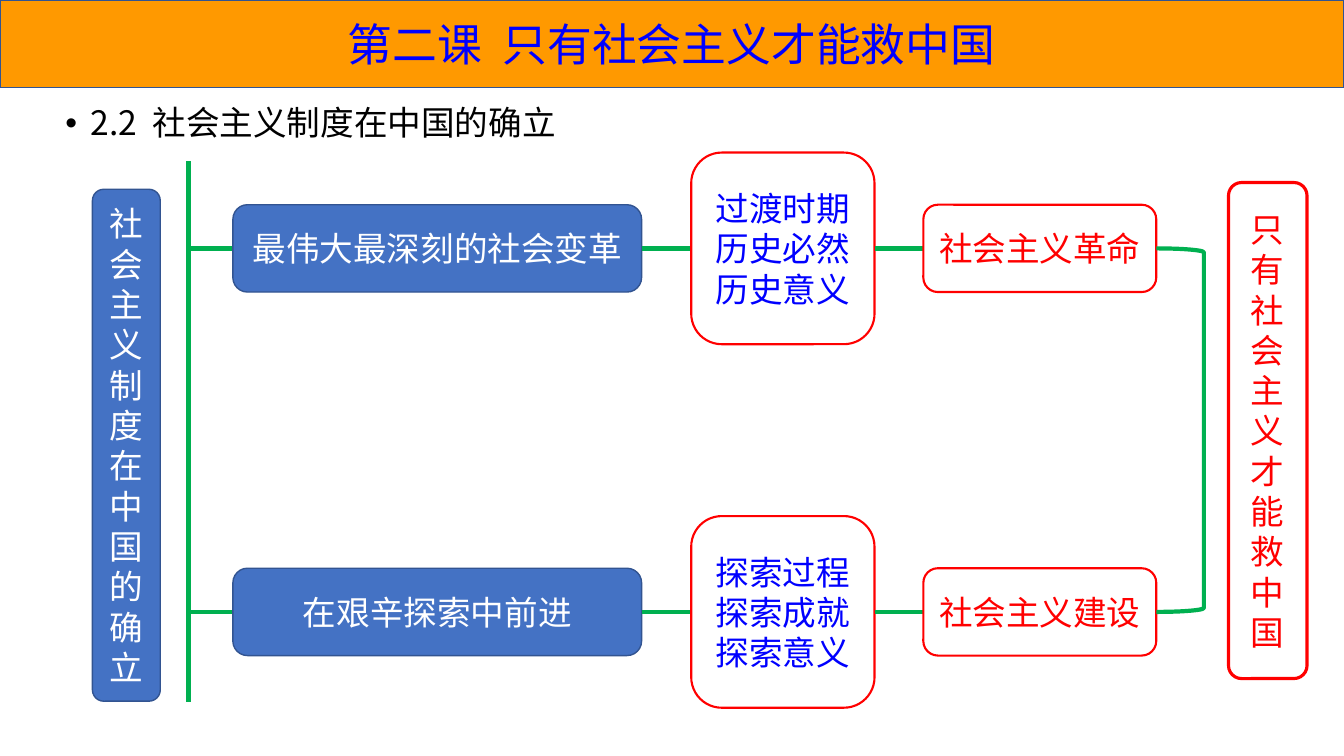
"""Build the lesson map slide on the founding of the socialist system."""
import pptx
import pptx.util
import pptx.dml.color
import pptx.enum.shapes
import pptx.enum.text
import pptx.oxml.ns
import lxml.etree

TITLE = "第二课  只有社会主义才能救中国"
HEAD = "2.2  社会主义制度在中国的确立"
ROOT = "社会主义制度在中国的确立"
GOAL = "只有社会主义才能救中国"
ROWS = [
    ("最伟大最深刻的社会变革", "过渡时期\n历史必然\n历史意义", "社会主义革命"),
    ("在艰辛探索中前进", "探索过程\n探索成就\n探索意义", "社会主义建设"),
]

THEME = {
    "font": "Noto Sans CJK SC", "title": 32, "body": 24,
    "black": "000000", "white": "FFFFFF", "ink": "0000FF", "red": "FF0000",
    "orange": "FF9900", "blue": "4472C4", "edge": "325491", "green": "00B050",
}
STYLES = {
    "banner": ("orange", "edge", 1, "ink", "title"),
    "topic": ("blue", "edge", 1, "white", "body"),
    "steps": ("white", "red", 1.5, "ink", "body"),
    "result": ("white", "red", 1.5, "red", "body"),
    "goal": ("white", "red", 2.25, "red", "body"),
}
COLS = [
    ("topic", 5.87, 10.3, 2.2),
    ("steps", 17.42, 4.62, 4.83),
    ("result", 23.27, 5.87, 2.2),
]
MIDS = [6.26, 15.42]
SPINE = 4.75
LINK = 3

Cm = pptx.util.Cm
Pt = pptx.util.Pt
KIND = pptx.enum.shapes.MSO_SHAPE
ALIGN = pptx.enum.text.PP_ALIGN
qn = pptx.oxml.ns.qn

deck = pptx.Presentation()
deck.slide_width, deck.slide_height = Cm(33.87), Cm(19.05)
slide = deck.slides.add_slide(deck.slide_layouts[6])
shapes = slide.shapes


def tint(name):
    return pptx.dml.color.RGBColor.from_string(THEME[name])


def stroke(line, name, width):
    line.color.rgb = tint(name)
    line.width = Pt(width)


def write(frame, text, name, size, align):
    frame.text = text
    frame.word_wrap = True
    for para in frame.paragraphs:
        para.alignment = align
        for run in para.runs:
            run.font.size = Pt(THEME[size])
            run.font.color.rgb = tint(name)
            run.font.name = THEME["font"]
            east = lxml.etree.SubElement(run.font._element, qn("a:ea"))
            east.set("typeface", THEME["font"])


def box(text, style, area, kind=KIND.ROUNDED_RECTANGLE):
    fill, edge, width, name, size = STYLES[style]
    shape = shapes.add_shape(kind, *map(Cm, area))
    shape.shadow.inherit = False
    shape.fill.solid()
    shape.fill.fore_color.rgb = tint(fill)
    stroke(shape.line, edge, width)
    write(shape.text_frame, text, name, size, ALIGN.CENTER)


def link(*ends):
    line = shapes.add_connector(pptx.enum.shapes.MSO_CONNECTOR.STRAIGHT, *map(Cm, ends))
    stroke(line.line, "green", LINK)
    lxml.etree.SubElement(line._element.spPr, qn("a:effectLst"))


def heading(text):
    frame = shapes.add_textbox(Cm(1.4), Cm(2.57), Cm(30.86), Cm(15.72)).text_frame
    write(frame, text, "black", "body", ALIGN.LEFT)
    para = frame.paragraphs[0]
    para.line_spacing = 0.9
    para.space_before = Pt(10)
    props = para._p.get_or_add_pPr()
    props.set("marL", str(Cm(0.64)))
    props.set("indent", str(-Cm(0.64)))
    font = lxml.etree.SubElement(props, qn("a:buFont"))
    font.set("typeface", "Arial")
    lxml.etree.SubElement(props, qn("a:buChar")).set("char", "•")


heading(HEAD)
box(TITLE, "banner", (0, 0, 33.87, 2.2), KIND.RECTANGLE)
box(ROOT, "topic", (2.33, 4.77, 1.71, 12.9))
link(SPINE, 4.06, SPINE, 17.68)

for texts, mid in zip(ROWS, MIDS):
    start = SPINE
    for text, (style, left, width, height) in zip(texts, COLS):
        link(start, mid, left, mid)
        box(text, style, (left, mid - height / 2, width, height))
        start = left + width

brace = shapes.add_shape(
    KIND.RIGHT_BRACKET, Cm(start), Cm(MIDS[0]), Cm(1.2), Cm(MIDS[1] - MIDS[0]))
brace.shadow.inherit = False
brace.fill.background()
stroke(brace.line, "green", LINK)
box(GOAL, "goal", (30.96, 4.6, 1.98, 12.5))

deck.save("out.pptx")
